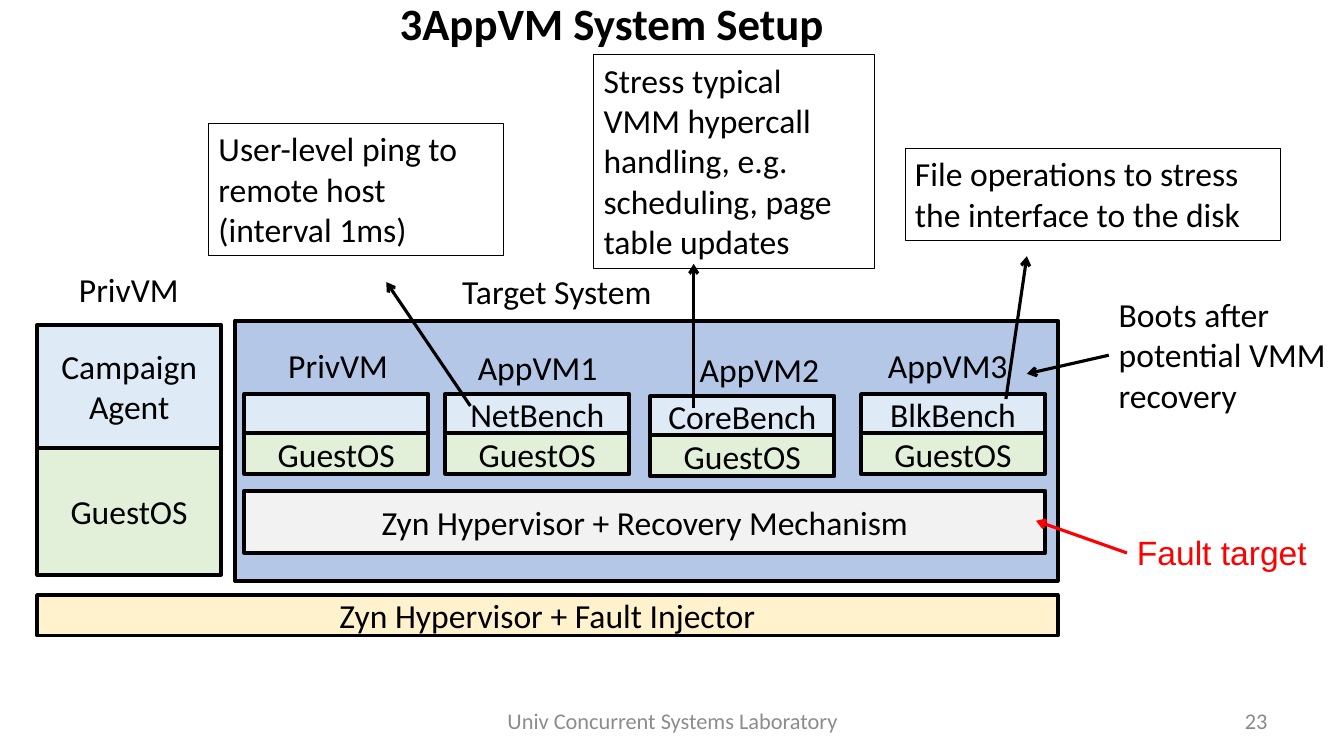
from dataclasses import dataclass
from typing import NamedTuple, Optional

import lxml.etree
import pptx
import pptx.dml.color
import pptx.enum.shapes
import pptx.enum.text
import pptx.oxml.ns
import pptx.shapes.autoshape
import pptx.shapes.connector
import pptx.slide
import pptx.util

Pt = pptx.util.Pt
Align = pptx.enum.text.PP_ALIGN
Anchor = pptx.enum.text.MSO_ANCHOR


@dataclass(frozen=True)
class Theme:
    font: str = "Calibri"
    fault_font: str = "Arial"
    black: str = "000000"
    fault: str = "FF0000"
    footer: str = "8C8C8C"
    number: str = "898989"
    target: str = "B4C7E7"
    app: str = "DEEBF7"
    guest: str = "E2F0D9"
    recovery: str = "F2F2F2"
    injector: str = "FFF2CC"
    title_size: float = 32
    body_size: float = 24
    footer_size: float = 16
    block_line: float = 2.75
    callout_line: float = 0.75
    arrow_line: float = 2.25


THEME = Theme()


class Box(NamedTuple):
    left: float
    top: float
    width: float
    height: float


class Style(NamedTuple):
    color: str = THEME.black
    size: float = THEME.body_size
    font: str = THEME.font
    bold: bool = False
    align: Align = Align.CENTER
    anchor: Anchor = Anchor.MIDDLE


class Machine(NamedTuple):
    """A virtual machine: a label above an application and a guest system."""
    name: str
    app: str
    left: float
    top: float
    label: Box
    app_height: float = 28
    guest_height: float = 29


class Callout(NamedTuple):
    lines: tuple[str, ...]
    box: Box


class Arrow(NamedTuple):
    start: tuple[float, float]
    end: tuple[float, float]
    color: str = THEME.black
    source: Optional[pptx.shapes.autoshape.Shape] = None


BLOCK = Style()
NOTE = Style(align=Align.LEFT, anchor=Anchor.TOP)
MACHINE_WIDTH = 131.5

MACHINES = [
    Machine("AppVM1", "NetBench", 318, 281.5, Box(331, 244.5, 106, 36)),
    Machine("AppVM2", "CoreBench", 464.5, 283, Box(489.5, 246, 106, 36)),
    Machine("AppVM3", "BlkBench", 615, 281.5, Box(620, 242.5, 114, 36)),
    Machine("PrivVM", "", 174.5, 281.5, Box(193.5, 242.5, 96, 36)),
    Machine("PrivVM", "Campaign Agent", 26.5, 232, Box(44, 188.5, 96, 36), 88, 90.5),
]

CALLOUTS = [
    Callout(("User-level ping to remote host", "(interval 1ms)"), Box(149, 88, 211, 94.5)),
    Callout(("Stress typical VMM hypercall handling, e.g. scheduling, page table updates",),
            Box(424, 39, 201, 152.5)),
    Callout(("File operations to stress the interface to the disk",), Box(646.5, 106, 268, 65.5)),
]


def rgb(color: str) -> pptx.dml.color.RGBColor:
    return pptx.dml.color.RGBColor.from_string(color)


def write(shape: pptx.shapes.autoshape.Shape, lines: tuple[str, ...], style: Style) -> None:
    frame = shape.text_frame
    frame.word_wrap = True
    frame.vertical_anchor = style.anchor
    for index, line in enumerate(lines):
        paragraph = frame.add_paragraph() if index else frame.paragraphs[0]
        paragraph.alignment = style.align
        run = paragraph.add_run()
        run.text = line
        run.font.name = style.font
        run.font.size = Pt(style.size)
        run.font.bold = style.bold
        run.font.color.rgb = rgb(style.color)


def add_text(slide: pptx.slide.Slide, text: str, box: Box,
             style: Style) -> pptx.shapes.autoshape.Shape:
    label = slide.shapes.add_textbox(*map(Pt, box))
    write(label, (text,), style)
    return label


def add_block(slide: pptx.slide.Slide, lines: tuple[str, ...], box: Box, fill: Optional[str],
              line_width: float = THEME.block_line, style: Style = BLOCK) -> None:
    block = slide.shapes.add_shape(pptx.enum.shapes.MSO_SHAPE.RECTANGLE, *map(Pt, box))
    block.shadow.inherit = False
    if fill:
        block.fill.solid()
        block.fill.fore_color.rgb = rgb(fill)
    else:
        block.fill.background()
    block.line.color.rgb = rgb(THEME.black)
    block.line.width = Pt(line_width)
    write(block, lines, style)


def add_machine(slide: pptx.slide.Slide, vm: Machine) -> None:
    app = Box(vm.left, vm.top, MACHINE_WIDTH, vm.app_height)
    guest = Box(vm.left, vm.top + vm.app_height, MACHINE_WIDTH, vm.guest_height)
    add_block(slide, (vm.app,) if vm.app else (), app, THEME.app)
    add_block(slide, ("GuestOS",), guest, THEME.guest)
    add_text(slide, vm.name, vm.label, Style(anchor=Anchor.TOP))


def add_arrow(slide: pptx.slide.Slide, arrow: Arrow) -> None:
    pointer = slide.shapes.add_connector(
        pptx.enum.shapes.MSO_CONNECTOR.STRAIGHT, *map(Pt, arrow.start + arrow.end))
    if arrow.source is not None:
        pointer.begin_connect(arrow.source, 1)
    pointer.line.color.rgb = rgb(arrow.color)
    pointer.line.width = Pt(arrow.line_width if hasattr(arrow, "line_width") else THEME.arrow_line)
    qn = pptx.oxml.ns.qn
    lxml.etree.SubElement(pointer.line._get_or_add_ln(), qn("a:tailEnd"), type="arrow")
    lxml.etree.SubElement(pointer._element.spPr, qn("a:effectLst"))


def main() -> None:
    deck = pptx.Presentation()
    deck.slide_width, deck.slide_height = Pt(960), Pt(540)
    slide = deck.slides.add_slide(deck.slide_layouts[6])

    # Target system, virtual machines and hypervisors
    add_block(slide, (), Box(168, 229, 587.5, 186), THEME.target)
    add_block(slide, ("Zyn Hypervisor + Recovery Mechanism",),
              Box(174.5, 350.5, 572, 44.5), THEME.recovery)
    add_block(slide, ("Zyn Hypervisor + Fault Injector",),
              Box(26.5, 425, 729, 29), THEME.injector)
    for vm in MACHINES:
        add_machine(slide, vm)
    add_text(slide, "Target System", Box(226, 190, 343.5, 36), Style(anchor=Anchor.TOP))

    # Side notes
    boots = add_text(slide, "Boots after potential VMM recovery",
                     Box(792, 206.5, 168, 94.5), NOTE)
    fault = add_text(slide, "Fault target", Box(805, 376.5, 137.5, 37),
                     NOTE._replace(color=THEME.fault, font=THEME.fault_font))

    # Title and footer
    add_text(slide, "3AppVM System Setup", Box(113, -6.5, 648, 45),
             Style(size=THEME.title_size, bold=True))
    add_text(slide, "23", Box(688.5, 500.5, 224, 29),
             Style(THEME.number, THEME.footer_size, align=Align.RIGHT))
    add_text(slide, "Univ Concurrent Systems Laboratory", Box(328.5, 500.5, 304, 29),
             Style(THEME.footer, THEME.footer_size))

    # Workload callouts
    for callout in CALLOUTS:
        add_block(slide, callout.lines, callout.box, None, THEME.callout_line, NOTE)

    # Arrows
    for arrow in (
        Arrow((792, 253.5), (733.5, 267), source=boots),
        Arrow((805, 395), (740, 372), THEME.fault, fault),
        Arrow((336, 290), (276, 201.5)),
        Arrow((495.5, 291.5), (495.5, 188.5)),
        Arrow((718.5, 285), (733.5, 183)),
    ):
        add_arrow(slide, arrow)

    deck.save("out.pptx")


if __name__ == "__main__":
    main()
